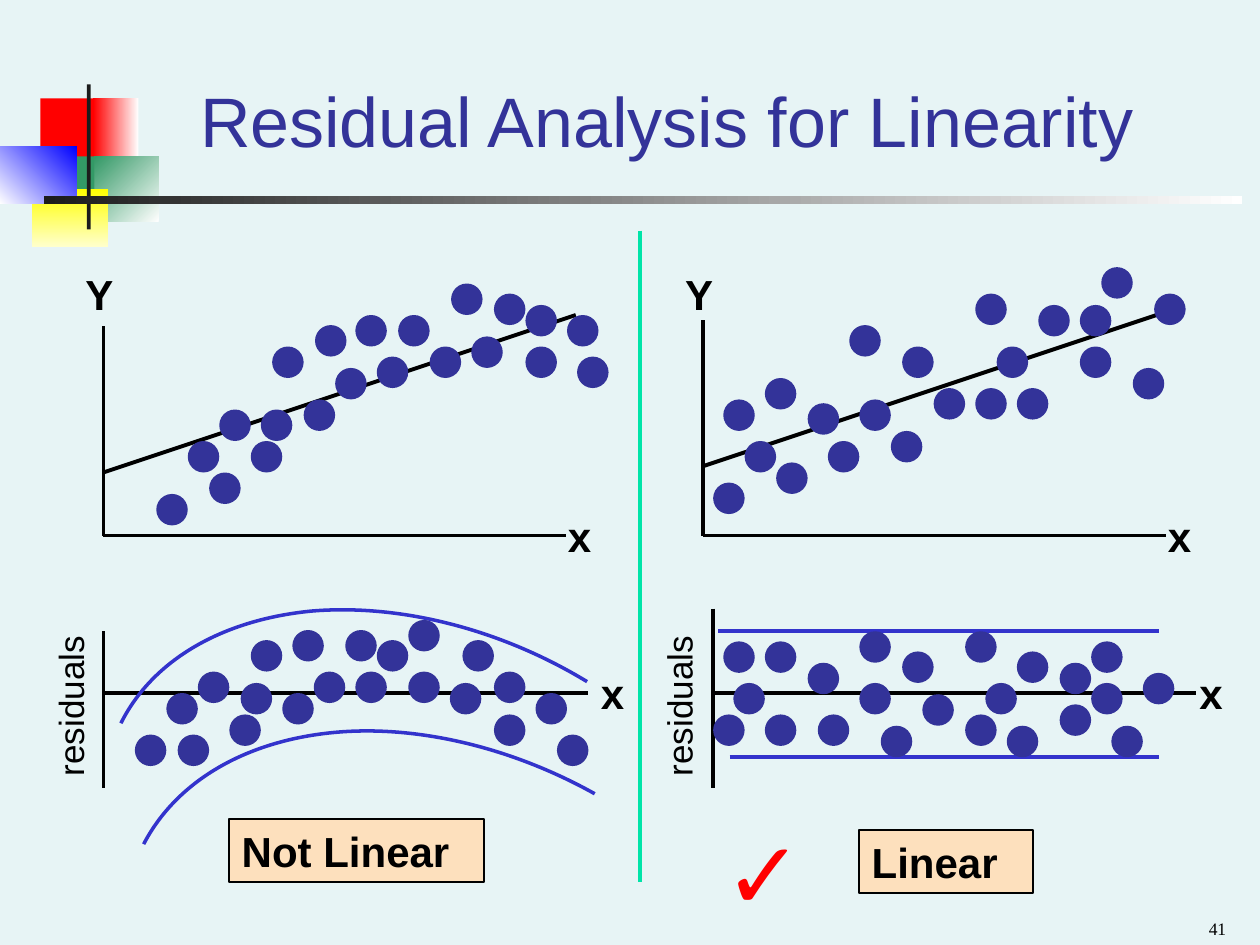
from pptx import Presentation
from pptx.dml.color import RGBColor
from pptx.enum.shapes import MSO_CONNECTOR, MSO_SHAPE
from pptx.enum.text import MSO_ANCHOR, PP_ALIGN
from pptx.oxml.ns import qn
from pptx.util import Pt
from lxml import etree

PX = 9144  # 100 px to the inch

STRAIGHT = MSO_CONNECTOR.STRAIGHT
RECT, OVAL = MSO_SHAPE.RECTANGLE, MSO_SHAPE.OVAL
LEFT, CENTER, RIGHT = PP_ALIGN.LEFT, PP_ALIGN.CENTER, PP_ALIGN.RIGHT
TOP, BOTTOM = MSO_ANCHOR.TOP, MSO_ANCHOR.BOTTOM

BACKGROUND = RGBColor(0xE7, 0xF4, 0xF5)
BLACK = RGBColor(0, 0, 0)
WHITE = RGBColor(0xFF, 0xFF, 0xFF)
CHARCOAL = RGBColor(0x1C, 0x1C, 0x1C)
RED = RGBColor(0xFF, 0, 0)
GREEN = RGBColor(0x33, 0x99, 0x66)
YELLOW = RGBColor(0xFF, 0xFF, 0)
PALE_YELLOW = RGBColor(0xFF, 0xFF, 0xCC)
BLUE = RGBColor(0, 0, 0xFF)
INDIGO = RGBColor(0x33, 0x33, 0x99)
BAND_BLUE = RGBColor(0x33, 0x33, 0xCC)
PEACH = RGBColor(0xFD, 0xE0, 0xBD)
MINT = RGBColor(0, 0xE4, 0xA8)

DOT = 25

# Dot positions, relative to the box of their plot
CURVED_DOTS = [
    (124, 192), (166, 175), (316, 50), (341, 75), (392, 33), (199, 150), (374, 67),
    (417, 75), (417, 42), (450, 50), (358, 25), (266, 92), (282, 50), (250, 58),
    (149, 150), (174, 125), (207, 125), (299, 83), (216, 75), (458, 83), (241, 117)]
STRAIGHT_DOTS = [
    (66, 183), (91, 150), (274, 33), (291, 75), (357, 42), (116, 167), (307, 108),
    (357, 75), (374, 12), (324, 42), (207, 142), (216, 75), (174, 58), (74, 117),
    (107, 100), (141, 120), (241, 108), (182, 117), (399, 92), (157, 150),
    (416, 33), (274, 108)]
CURVED_RESIDUALS = [
    (107, 103), (141, 103), (299, 28), (324, 12), (357, 62), (182, 87), (367, 28),
    (392, 87), (392, 53), (425, 70), (324, 53), (249, 53), (274, 20), (232, 20),
    (132, 70), (157, 53), (191, 62), (282, 53), (199, 28), (442, 103), (224, 70)]
EVEN_RESIDUALS = [
    (141, 46), (107, 29), (66, 87), (82, 62), (74, 29), (182, 62), (182, 21),
    (107, 87), (266, 21), (216, 37), (199, 96), (149, 87), (341, 46), (266, 87),
    (232, 71), (341, 79), (282, 62), (299, 96), (307, 37), (382, 96), (366, 29),
    (407, 54), (366, 62)]

# Residual bands: a start point, then groups of two control points and an end
CURVED_BANDS = [
    [(96, 94), (121, 44), (176, 12), (247, 5), (317, -1), (397, 19), (466, 61)],
    [(114, 190), (139, 142), (191, 110), (259, 102), (326, 94), (404, 112), (472, 150)]]
EVEN_BANDS = [[(70, 21), (420, 21)], [(79, 121), (420, 121)]]


def emu(*lengths):
    return [length * PX for length in lengths]


def add_line(slide, box, start, end, color=BLACK, width=2):
    x, y = box
    line = slide.shapes.add_connector(
        STRAIGHT, *emu(x + start[0], y + start[1], x + end[0], y + end[1]))
    line.line.color.rgb = color
    line.line.width = Pt(width)
    etree.SubElement(line._element.spPr, qn("a:effectLst"))


def add_solid(slide, kind, box, color):
    shape = slide.shapes.add_shape(kind, *emu(*box))
    shape.shadow.inherit = False
    shape.fill.solid()
    shape.fill.fore_color.rgb = color
    shape.line.fill.background()
    return shape


def add_gradient(slide, box, first, last, clockwise):
    shape = add_solid(slide, RECT, box, first)
    shape.fill.gradient()
    shape.fill.gradient_angle = 360 - clockwise
    for stop, color in zip(shape.fill.gradient_stops, (first, last)):
        stop.color.rgb = color


def write(shape, text, size, color=BLACK, bold=False, align=LEFT,
          font="Arial", anchor=TOP):
    frame = shape.text_frame
    frame.word_wrap = True
    frame.vertical_anchor = anchor
    frame.text = text
    paragraph = frame.paragraphs[0]
    paragraph.alignment = align
    paragraph.font.name = font
    paragraph.font.size = Pt(size)
    paragraph.font.bold = bold
    paragraph.font.color.rgb = color


def add_label(slide, box, text, size, **style):
    label = slide.shapes.add_textbox(*emu(*box))
    write(label, text, size, **style)
    return label


def add_dots(slide, box, dots):
    for x, y in dots:
        add_solid(slide, OVAL, (box[0] + x, box[1] + y, DOT, DOT), INDIGO)


def add_curve(slide, box, points):
    points = [(box[0] + x, box[1] + y) for x, y in points]
    builder = slide.shapes.build_freeform(*points[0], scale=PX)
    builder.add_line_segments(points[1:], close=False)
    curve = builder.convert_to_shape()
    curve.shadow.inherit = False
    curve.fill.background()
    curve.line.color.rgb = BAND_BLUE
    curve.line.width = Pt(2)
    # Turn each three straight segments into one cubic curve
    segments = list(curve._element.iter(qn("a:lnTo")))
    for i in range(0, len(segments), 3):
        bezier = etree.SubElement(segments[i].getparent(), qn("a:cubicBezTo"))
        for segment in segments[i:i + 3]:
            bezier.append(segment[0])
            segment.getparent().remove(segment)


def add_ornament(slide, box):
    x, y = box
    add_solid(slide, RECT, (x + 32, y + 11, 48, 52), RED)
    add_gradient(slide, (x + 74, y + 11, 36, 52), WHITE, RED, 180)
    add_gradient(slide, (x + 75, y + 57, 51, 52), WHITE, GREEN, 225)
    add_solid(slide, RECT, (x + 43, y + 57, 32, 52), GREEN)
    add_gradient(slide, (x + 25, y + 83, 61, 46), YELLOW, PALE_YELLOW, 90)
    add_gradient(slide, (x, y + 49, 61, 46), BLUE, WHITE, 135)
    add_solid(slide, RECT, (x + 69, y, 3, 115), CHARCOAL)
    add_gradient(slide, (x + 35, y + 89, 951, 6), WHITE, CHARCOAL, 180)


def add_title(slide, box, text):
    title = slide.shapes.title
    title.left, title.top, title.width, title.height = emu(*box)
    write(title, text, 40, color=INDIGO, align=CENTER, anchor=BOTTOM)


def add_scatter_plot(slide, box, axis_x, axis_top, fit_start, dots):
    x, y = box
    add_line(slide, box, (axis_x, axis_top), (axis_x, 225))
    add_line(slide, box, (axis_x, 225), (axis_x + 367, 225))
    add_line(slide, box, (axis_x, fit_start), (axis_x + 375, fit_start - 125), width=2.25)
    add_dots(slide, box, dots)
    add_label(slide, (x + axis_x - 24, y + 8, 44, 50), "Y", 24, bold=True)
    add_label(slide, (x + axis_x + 359, y + 200, 44, 50), "x", 24, bold=True)


def add_residual_plot(slide, box, axis_x, axis_top, axis_end, x_left, name_left,
                      bands, dots):
    x, y = box
    add_line(slide, box, (axis_x, axis_top), (axis_x, 145))
    add_line(slide, box, (axis_x, 70), (axis_end, 70))
    for band in bands:
        if len(band) == 2:
            add_line(slide, box, *band, color=BAND_BLUE)
        else:
            add_curve(slide, box, band)
    add_dots(slide, box, dots)
    add_label(slide, (x + x_left, y + 45, 44, 50), "x", 24, bold=True)
    add_label(slide, (x + name_left, y + 53, 143, 43), "residuals", 20).rotation = 270


def add_verdict(slide, box, text):
    verdict = add_solid(slide, RECT, box, PEACH)
    verdict.line.color.rgb = BLACK
    verdict.line.width = Pt(1)
    write(verdict, text, 24, bold=True)


def main():
    prs = Presentation()
    prs.slide_width, prs.slide_height = emu(1000, 750)
    slide = prs.slides.add_slide(prs.slide_layouts[5])
    slide.background.fill.solid()
    slide.background.fill.fore_color.rgb = BACKGROUND

    # Heading
    add_ornament(slide, (0, 67))
    add_title(slide, (142, 25, 774, 108), "Residual Analysis for Linearity")

    # Left half: not linear
    add_scatter_plot(slide, (0, 200), 82, 59, 175, CURVED_DOTS)
    add_residual_plot(slide, (0, 480), 82, 21, 467, 467, -16,
                      CURVED_BANDS, CURVED_RESIDUALS)
    add_verdict(slide, (182, 650, 202, 50), "Not Linear")

    # Right half: linear
    add_scatter_plot(slide, (500, 200), 58, 54, 170, STRAIGHT_DOTS)
    add_residual_plot(slide, (500, 480), 66, 3, 449, 442, -33,
                      EVEN_BANDS, EVEN_RESIDUALS)
    add_verdict(slide, (682, 659, 138, 50), "Linear")
    add_label(slide, (565, 642, 143, 100), "✓", 54, color=RED)

    # Divider and page number
    add_line(slide, (508, 183), (0, 0), (0, 517), color=MINT, width=2.25)
    add_label(slide, (750, 715, 233, 35), "41", 10, align=RIGHT,
              font="Times New Roman", anchor=BOTTOM)
    prs.save("out.pptx")


if __name__ == "__main__":
    main()
